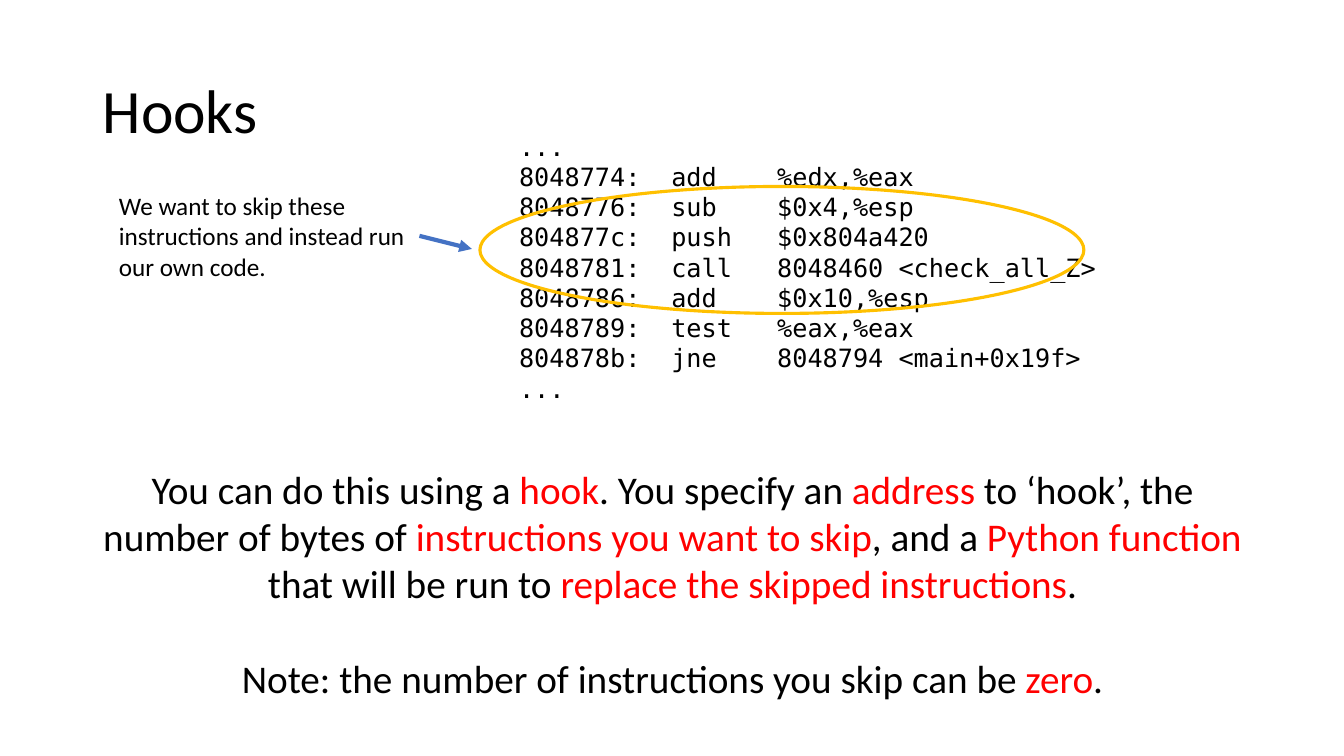
from lxml.etree import SubElement
from pptx import Presentation
from pptx.dml.color import RGBColor
from pptx.enum.shapes import MSO_CONNECTOR, MSO_SHAPE
from pptx.enum.text import MSO_ANCHOR, PP_ALIGN
from pptx.oxml.ns import qn
from pptx.util import Inches, Pt

COLORS = {"text": "000000", "key": "FF0000", "arrow": "4472C4", "ring": "FFC000"}
BODY_FONT = "Calibri"
CODE_FONT = "DejaVu Sans Mono"
CODE_TABS = (1.51, 2.56)

INSTRUCTIONS = [
    ("...",),
    ("8048774:", "add", "%edx,%eax"),
    ("8048776:", "sub", "$0x4,%esp"),
    ("804877c:", "push", "$0x804a420"),
    ("8048781:", "call", "8048460 <check_all_Z>"),
    ("8048786:", "add", "$0x10,%esp"),
    ("8048789:", "test", "%eax,%eax"),
    ("804878b:", "jne", "8048794 <main+0x19f>"),
    ("...",),
]
EXPLANATION = [
    ("You can do this using a ", "text"),
    ("hook", "key"),
    (". You specify an ", "text"),
    ("address", "key"),
    (" to ‘hook’, the number of bytes of ", "text"),
    ("instructions you want to skip", "key"),
    (", and a ", "text"),
    ("Python function", "key"),
    (" that will be run to ", "text"),
    ("replace the skipped instructions", "key"),
    (".", "text"),
]
NOTE = [
    ("Note: the number of instructions you skip can be ", "text"),
    ("zero", "key"),
    (".", "text"),
]


def color(name):
    return RGBColor.from_string(COLORS[name])


def add_text(slide, box, paragraphs, size, font=BODY_FONT, align=PP_ALIGN.LEFT):
    frame = slide.shapes.add_textbox(*map(Inches, box)).text_frame
    frame.word_wrap = True
    for index, runs in enumerate(paragraphs):
        paragraph = frame.add_paragraph() if index else frame.paragraphs[0]
        paragraph.alignment = align
        for text, color_name in runs:
            run = paragraph.add_run()
            run.text = text
            run.font.name = font
            run.font.size = Pt(size)
            run.font.color.rgb = color(color_name)
    return frame


def add_code(slide, box, rows):
    lines = [[("\t".join(row), "text")] for row in rows]
    frame = add_text(slide, box, lines, 18, CODE_FONT)
    for paragraph in frame.paragraphs:
        tab_list = SubElement(paragraph._p.get_or_add_pPr(), qn("a:tabLst"))
        for position in CODE_TABS:
            SubElement(tab_list, qn("a:tab"), pos=str(Inches(position)), algn="l")


def add_arrow(slide, start, end):
    points = map(Inches, (*start, *end))
    arrow = slide.shapes.add_connector(MSO_CONNECTOR.STRAIGHT, *points)
    arrow.line.color.rgb = color("arrow")
    arrow.line.width = Pt(3)
    SubElement(arrow.line._get_or_add_ln(), qn("a:tailEnd"), type="triangle")
    SubElement(arrow._element.spPr, qn("a:effectLst"))


def add_ring(slide, box):
    ring = slide.shapes.add_shape(MSO_SHAPE.OVAL, *map(Inches, box))
    ring.shadow.inherit = False
    ring.fill.background()
    ring.line.color.rgb = color("ring")
    ring.line.width = Pt(2.25)


def main():
    presentation = Presentation()
    presentation.slide_width = Inches(13.33)
    presentation.slide_height = Inches(7.5)
    slide = presentation.slides.add_slide(presentation.slide_layouts[6])

    title = add_text(slide, (0.92, 0.4, 11.5, 1.45), [[("Hooks", "text")]], 44)
    title.vertical_anchor = MSO_ANCHOR.MIDDLE
    title.paragraphs[0].line_spacing = 0.9

    add_code(slide, (5.05, 1.25, 6.67, 2.83), INSTRUCTIONS)
    caption = "We want to skip these instructions and instead run our own code."
    add_text(slide, (1.08, 1.84, 3.09, 1.01), [[(caption, "text")]], 18)
    add_arrow(slide, (4.16, 2.34), (4.68, 2.47))
    add_ring(slide, (4.76, 1.85, 5.99, 1.26))

    explanation = add_text(
        slide, (0.92, 4.57, 11.5, 2.46), [EXPLANATION, NOTE], 28, align=PP_ALIGN.CENTER
    )
    explanation.paragraphs[1].space_before = Pt(34)

    presentation.save("out.pptx")


if __name__ == "__main__":
    main()
